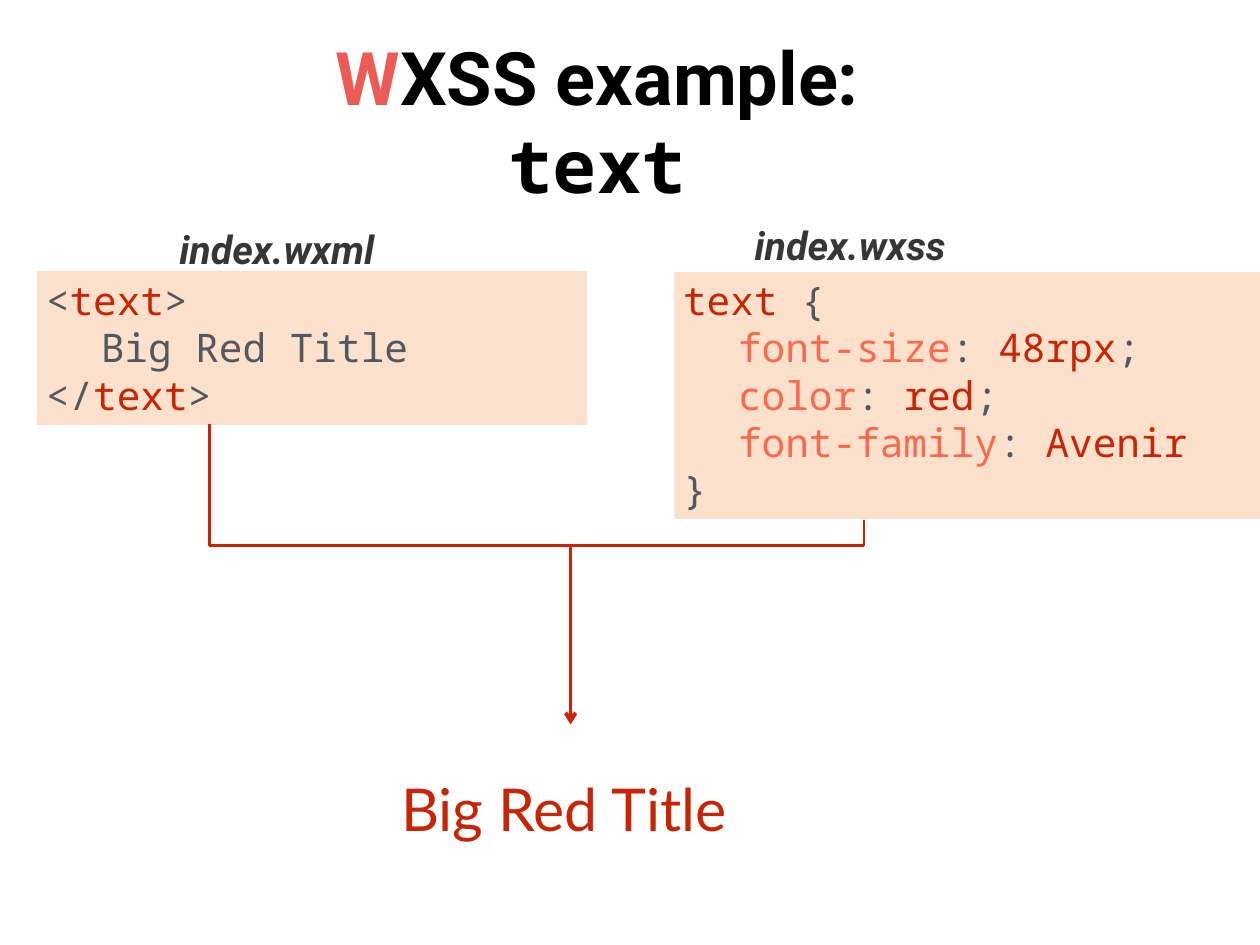
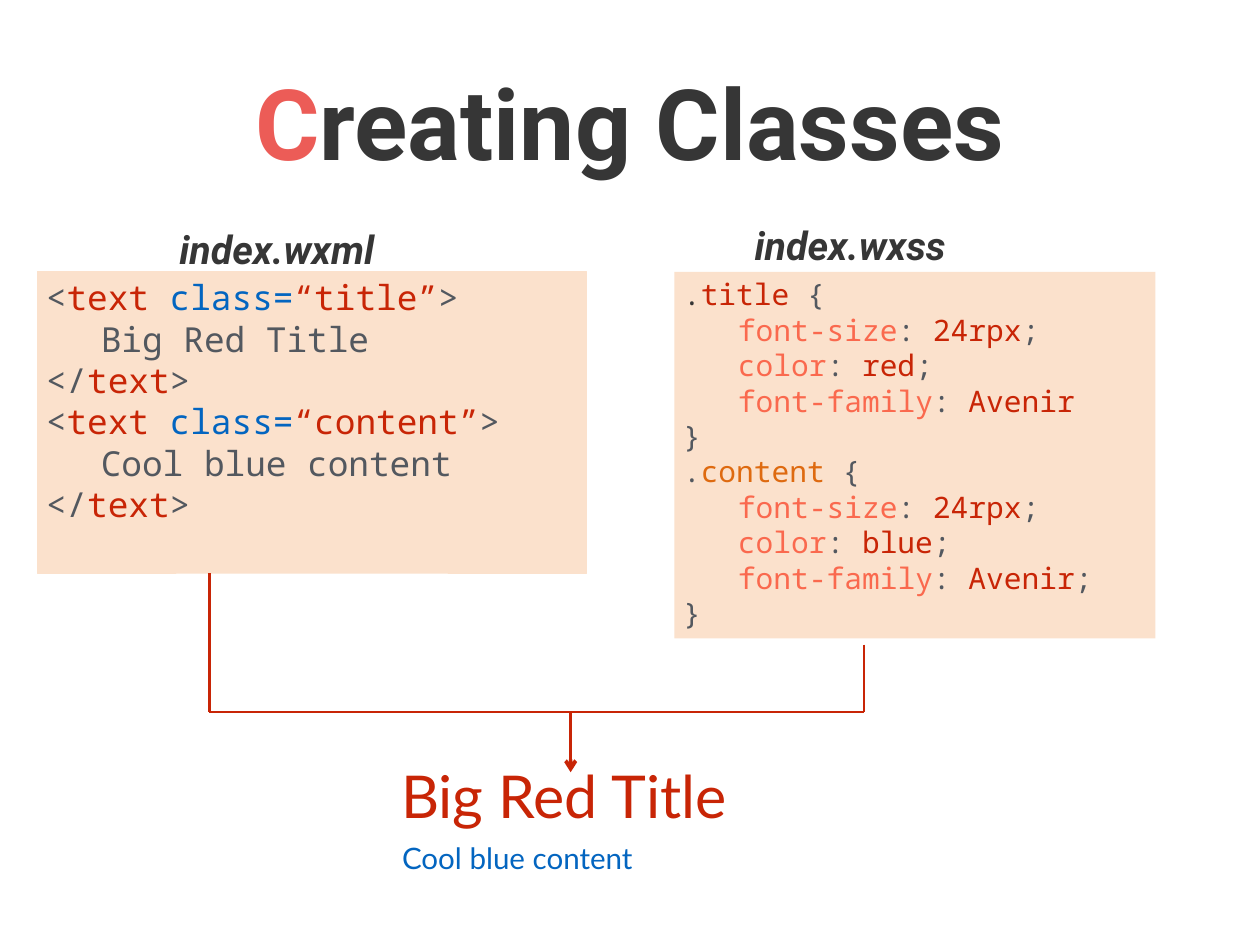
import dataclasses

import pptx
import pptx.dml.color
import pptx.enum.shapes
import pptx.enum.text
import pptx.oxml.ns
import pptx.util
from lxml import etree


@dataclasses.dataclass(frozen=True)
class Theme:
    accent: str = "EC5C57"
    black: str = "000000"
    dark: str = "363636"
    grey: str = "53585F"
    red: str = "C82506"
    coral: str = "FA694E"
    orange: str = "DE6A10"
    blue: str = "0365C0"
    panel: str = "FBE1CC"
    heading_font: str = "Roboto"
    code_font: str = "Noto Sans Mono"
    body_font: str = "Lato"
    label_size: int = 32
    result_size: int = 48
    content_size: int = 24
    branch_width: float = 2.25
    arrow_width: float = 3


THEME = Theme()
WIDTH, HEIGHT = 14.22, 10.67
TAB_STOP = 0.62

# Grid places: 100 columns across the slide, 100 rows down it.
PANEL_TOP = 28.77
LEFT_PANEL, RIGHT_PANEL = 2.95, 53.52
LEFT_BRANCH, STEM, RIGHT_BRANCH = 16.6, 45.29, 68.57


def across(columns):
    return pptx.util.Inches(columns * WIDTH / 100)


def down(rows):
    return pptx.util.Inches(rows * HEIGHT / 100)


def grid_box(left, top, width, height):
    return across(left), down(top), across(width), down(height)


def color(value):
    return pptx.dml.color.RGBColor.from_string(value)


def add_run(paragraph, text, ink, size, font, bold=False, italic=False):
    run = paragraph.add_run()
    run.text = text
    run.font.size = pptx.util.Pt(size)
    run.font.name = font
    run.font.bold = bold
    run.font.italic = italic
    run.font.color.rgb = color(ink)


def add_text(slide, place, runs, size, font, bold=False, italic=False,
             centered=False, wrap=True):
    """Add a one-line text box; centred ones are headings with thin margins."""
    frame = slide.shapes.add_textbox(*grid_box(*place)).text_frame
    frame.word_wrap = wrap
    paragraph = frame.paragraphs[0]
    if centered:
        margin = pptx.util.Inches(0.04)
        frame.margin_left = frame.margin_right = margin
        frame.margin_top = frame.margin_bottom = margin
        frame.vertical_anchor = pptx.enum.text.MSO_ANCHOR.MIDDLE
        paragraph.alignment = pptx.enum.text.PP_ALIGN.CENTER
    for text, ink in runs:
        add_run(paragraph, text, ink, size, font, bold, italic)
    return paragraph


def add_title(slide, place, runs, size, wrap=True):
    return add_text(slide, place, runs, size, THEME.heading_font,
                    bold=True, centered=True, wrap=wrap)


def add_file_labels(slide):
    for name, left, top in (("index.wxml", 10.27, 23.43),
                            ("index.wxss", 55.77, 22.96)):
        add_text(slide, (left, top, 23.42, 5.81), [(name, THEME.dark)],
                 THEME.label_size, THEME.heading_font,
                 bold=True, italic=True, centered=True)


def add_tab_stop(paragraph):
    properties = paragraph._p.get_or_add_pPr()
    tab_list = etree.SubElement(properties, pptx.oxml.ns.qn("a:tabLst"))
    etree.SubElement(tab_list, pptx.oxml.ns.qn("a:tab"),
                     pos=str(pptx.util.Inches(TAB_STOP)), algn="l")


def add_code_panel(slide, left, width, height, lines, size, outlined=False):
    panel = slide.shapes.add_shape(pptx.enum.shapes.MSO_SHAPE.RECTANGLE,
                                   *grid_box(left, PANEL_TOP, width, height))
    panel.shadow.inherit = False
    panel.fill.solid()
    panel.fill.fore_color.rgb = color(THEME.panel)
    if outlined:
        panel.line.color.rgb = color(THEME.panel)
        panel.line.width = pptx.util.Pt(0.75)
    else:
        panel.line.fill.background()
    frame = panel.text_frame
    frame.word_wrap = True
    frame.vertical_anchor = pptx.enum.text.MSO_ANCHOR.TOP
    for index, line in enumerate(lines):
        paragraph = frame.add_paragraph() if index else frame.paragraphs[0]
        paragraph.alignment = pptx.enum.text.PP_ALIGN.LEFT
        add_tab_stop(paragraph)
        for text, ink in line:
            add_run(paragraph, text, ink, size, THEME.code_font)


def add_line(slide, start, end, width, arrow=False):
    connector = slide.shapes.add_connector(
        pptx.enum.shapes.MSO_CONNECTOR.STRAIGHT,
        across(start[0]), down(start[1]), across(end[0]), down(end[1]))
    connector.line.color.rgb = color(THEME.red)
    connector.line.width = pptx.util.Pt(width)
    if arrow:
        etree.SubElement(connector.line._get_or_add_ln(),
                         pptx.oxml.ns.qn("a:tailEnd"), type="arrow")
    etree.SubElement(connector._element.spPr, pptx.oxml.ns.qn("a:effectLst"))


def add_merge_arrow(slide, left_start, right_start, junction, tip):
    """Join both code panels at one level and point down to the result."""
    add_line(slide, (STEM, junction), (STEM, tip), THEME.arrow_width, arrow=True)
    for branch, start in ((LEFT_BRANCH, left_start), (RIGHT_BRANCH, right_start)):
        add_line(slide, (branch, start), (branch, junction), THEME.branch_width)
        add_line(slide, (branch, junction), (STEM, junction), THEME.branch_width)


def add_result(slide, top):
    add_text(slide, (31.15, top, 32.98, 8.53), [("Big Red Title", THEME.red)],
             THEME.result_size, THEME.body_font)


def text_element(content, class_name=None):
    """Return the code lines of one text element."""
    opening = [("<", THEME.grey), ("text", THEME.red)]
    if class_name:
        opening += [(" class=", THEME.blue), (f"“{class_name}”", THEME.red)]
    return [opening + [(">", THEME.grey)],
            [("\t", THEME.red), (content, THEME.grey)],
            [("</", THEME.grey), ("text", THEME.red), (">", THEME.grey)]]


def style_rule(selector, size, ink, last_end=""):
    """Return the code lines of one style rule, given its selector runs."""
    properties = (("font-size", size, ";"), ("color", ink, ";"),
                  ("font-family", "Avenir", last_end))
    lines = [selector + [(" {", THEME.grey)]]
    for name, value, end in properties:
        line = [("\t", THEME.red), (name, THEME.coral),
                (": ", THEME.grey), (value, THEME.red)]
        lines.append(line + [(end, THEME.grey)] if end else line)
    return lines + [[("}", THEME.grey)]]


def add_blank_slide(presentation):
    return presentation.slides.add_slide(presentation.slide_layouts[6])


def build_text_example(presentation):
    slide = add_blank_slide(presentation)
    title_size = 60
    title = add_title(slide, (18.64, 7.59, 57.52, 10.22),
                      [("W", THEME.accent), ("XSS example: ", THEME.black)],
                      title_size, wrap=False)
    add_run(title, "text", THEME.black, title_size, THEME.code_font, bold=True)
    add_code_panel(slide, RIGHT_PANEL, 46.55, 26.15,
                   style_rule([("text", THEME.red)], "48rpx", "red"), 32)
    add_code_panel(slide, LEFT_PANEL, 43.6, 16.12,
                   text_element("Big Red Title"), 32, outlined=True)
    add_merge_arrow(slide, 44.89, 55.01, 57.73, 76.66)
    add_file_labels(slide)
    add_result(slide, 81.26)


def build_classes(presentation):
    slide = add_blank_slide(presentation)
    add_title(slide, (0, 6.09, 100, 13.4),
              [("C", THEME.accent), ("reating Classes", THEME.dark)], 80)
    title_rule = style_rule([(".", THEME.dark), ("title", THEME.red)],
                            "24rpx", "red")
    content_rule = style_rule([(".", THEME.grey), ("content", THEME.orange)],
                              "24rpx", "blue", last_end=";")
    add_code_panel(slide, RIGHT_PANEL, 38.19, 38.8, title_rule + content_rule, 24)
    add_code_panel(slide, LEFT_PANEL, 43.6, 31.87,
                   text_element("Big Red Title", "title")
                   + text_element("Cool blue content", "content"),
                   28, outlined=True)
    add_merge_arrow(slide, 60.64, 68.23, 75.35, 81.72)
    add_file_labels(slide)
    add_result(slide, 79.94)
    add_text(slide, (31.22, 88.47, 44.16, 4.69),
             [("Cool blue content", THEME.blue)],
             THEME.content_size, THEME.body_font)


def main():
    presentation = pptx.Presentation()
    presentation.slide_width = pptx.util.Inches(WIDTH)
    presentation.slide_height = pptx.util.Inches(HEIGHT)
    build_text_example(presentation)
    build_classes(presentation)
    presentation.save("out.pptx")


if __name__ == "__main__":
    main()
